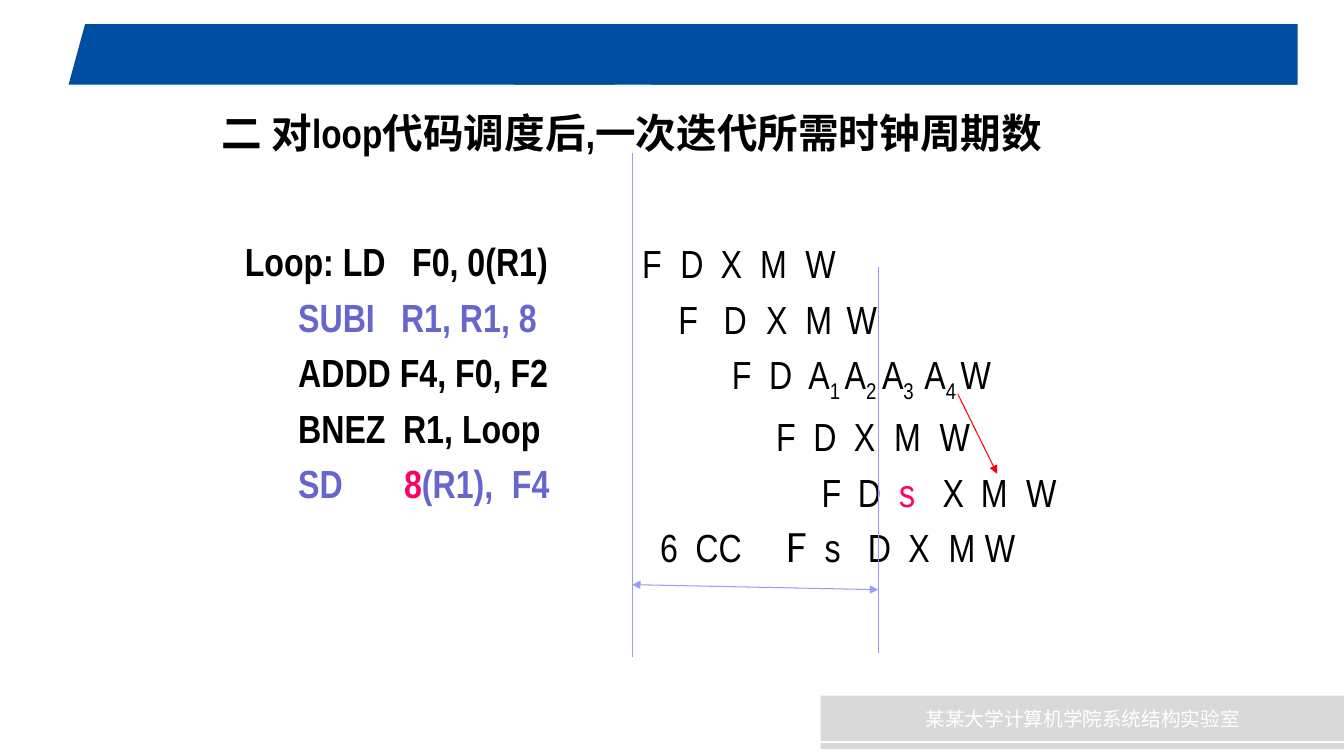
import pptx
import pptx.util
import pptx.dml.color
import pptx.enum.shapes
import pptx.enum.text
import pptx.oxml
import pptx.oxml.ns
from dataclasses import dataclass
from lxml import etree

Inches = pptx.util.Inches
Pt = pptx.util.Pt
SHAPE = pptx.enum.shapes.MSO_SHAPE
qn = pptx.oxml.ns.qn


@dataclass(frozen=True)
class Theme:
    blue: str = "004EA2"
    grey: str = "D9D9D9"
    white: str = "FFFFFF"
    ink: str = "000000"
    moved: str = "6666CC"
    stall: str = "FF0066"
    guide: str = "9999FF"
    hazard: str = "FF0000"
    title_size: int = 29
    body_size: int = 28
    footer_size: int = 14
    gap: float = 6
    line: float = 0.75
    sans: str = "Arial"
    narrow: str = "Arial Narrow"
    cjk: str = "Noto Sans CJK SC"


def rgb(color):
    return pptx.dml.color.RGBColor.from_string(color)


def add_run(p, text, *, size, font, color, bold=False, east=None, baseline=0):
    r = p.add_run()
    r.text = text
    r.font.size = Pt(size)
    r.font.bold = bold
    r.font.color.rgb = rgb(color)
    r.font.name = font
    rpr = r.font._element
    if east:
        etree.SubElement(rpr, qn("a:ea"), typeface=east)
    if baseline:
        rpr.set("baseline", str(baseline * 1000))


def set_tabs(p, stops):
    tabs = etree.SubElement(p._p.get_or_add_pPr(), qn("a:tabLst"))
    for stop in stops:
        etree.SubElement(tabs, qn("a:tab"), pos=str(Inches(stop)), algn="l")


class SlideBuilder:
    def __init__(self, prs, theme):
        self.theme = theme
        self.s = prs.slides.add_slide(prs.slide_layouts[6])

    def block(self, kind, x, y, w, h, fill):
        sp = self.s.shapes.add_shape(kind, Inches(x), Inches(y), Inches(w), Inches(h))
        sp.shadow.inherit = False
        sp.fill.solid()
        sp.fill.fore_color.rgb = rgb(fill)
        sp.line.fill.background()
        return sp

    def text(self, x, y, w, h):
        tf = self.s.shapes.add_textbox(Inches(x), Inches(y), Inches(w), Inches(h)).text_frame
        tf.word_wrap = True
        return tf

    def rows(self, x, y, w, h, rows, bold=False):
        """Each row is (tab stops, runs); a run is (text, format overrides)."""
        t = self.theme
        tf = self.text(x, y, w, h)
        for i, (stops, runs) in enumerate(rows):
            p = tf.add_paragraph() if i else tf.paragraphs[0]
            p.space_before = Pt(t.gap)
            set_tabs(p, stops)
            for text, style in runs:
                base = dict(size=t.body_size, font=t.narrow, color=t.ink, bold=bold)
                add_run(p, text, **{**base, **style})

    def line(self, x1, y1, x2, y2, color, head=False, tail=False):
        ln = self.s.shapes.add_connector(
            pptx.enum.shapes.MSO_CONNECTOR.STRAIGHT,
            Inches(x1), Inches(y1), Inches(x2), Inches(y2))
        ln.line.color.rgb = rgb(color)
        ln.line.width = Pt(self.theme.line)
        for tag, wanted in (("a:headEnd", head), ("a:tailEnd", tail)):
            if wanted:
                etree.SubElement(ln.line._get_or_add_ln(), qn(tag), type="triangle")
        etree.SubElement(ln._element.spPr, qn("a:effectLst"))


def add_frame(b):
    t = b.theme
    slant = b.block(SHAPE.TRAPEZOID, 0.68, 0.24, 5.42, 0.6, t.blue)
    slant.adjustments[0] = 0.273
    b.block(SHAPE.RECTANGLE, 5.1, 0.24, 7.77, 0.6, t.blue)
    b.block(SHAPE.RECTANGLE, 6.46, 0.79, 6.4, 0.05, t.blue)
    footer = b.block(SHAPE.RECTANGLE, 8.14, 6.9, 5.2, 0.45, t.grey)
    footer.text_frame.vertical_anchor = pptx.enum.text.MSO_ANCHOR.MIDDLE
    p = footer.text_frame.paragraphs[0]
    p.alignment = pptx.enum.text.PP_ALIGN.CENTER
    add_run(p, "某某大学计算机学院系统结构实验室", size=t.footer_size,
            font=t.cjk, east=t.cjk, color=t.white)
    b.block(SHAPE.RECTANGLE, 8.14, 7.37, 5.2, 0.06, t.grey)


def add_title(b):
    t = b.theme
    p = b.text(2.1, 1.02, 9.33, 0.83).paragraphs[0]
    for text, font in (("二 对", t.sans), ("loop代码调度后,", t.narrow),
                       ("一次迭代所需时钟周期数", t.sans)):
        add_run(p, text, size=t.title_size, font=font, east=t.cjk, color=t.ink, bold=True)


def add_code(b):
    moved, stall = {"color": b.theme.moved}, {"color": b.theme.stall}
    b.rows(2.33, 2.31, 3.47, 4.27, [
        ([1.66], [("Loop: LD\tF0, 0(R1)", {})]),
        ([0.53, 1.55], [("\tSUBI\tR1, R1, 8", moved)]),
        ([0.53], [("\tADDD F4, F0, F2", {})]),
        ([0.53, 1.57], [("\tBNEZ\tR1, Loop", {})]),
        ([0.53, 1.58, 2.65], [("\tSD\t", moved), ("8", stall), ("(R1),\tF4", moved)]),
    ], bold=True)


def add_pipeline(b):
    t = b.theme
    adder = [("\tF\tD", {})]
    for n in "1234":
        adder += [("\tA", {}), (n, {"baseline": -25})]
    adder.append(("\tW", {}))
    stages = [("\tF\tD\tX\tM\tW", {})]
    b.rows(6.27, 2.33, 5.04, 4.04, [
        ([0.38, 0.78, 1.17, 1.62], [("F\tD\tX\tM\tW", {})]),
        ([0.36, 0.81, 1.23, 1.62, 2.03], stages),
        ([0.89, 1.26, 1.65, 2.01, 2.38, 2.8, 3.16], adder),
        ([1.33, 1.7, 2.1, 2.5, 2.95], stages),
        ([1.78, 2.14, 2.55, 2.98, 3.36, 3.81],
         [("\tF\tD\t", {}), ("s", {"color": t.stall}), ("\tX\tM\tW", {})]),
        ([0.18, 0.53, 1.42, 1.81, 2.24, 2.64, 3.04, 3.4],
         [("\t6\tCC", {}), ("\tF", {"font": t.cjk}), ("\ts\tD\tX\tM\tW", {})]),
    ])


def add_lines(b):
    t = b.theme
    start, end = 6.27, 8.71
    b.line(end, 2.65, end, 6.48, t.guide)
    b.line(start, 1.52, start, 6.52, t.guide)
    b.line(start, 5.8, end, 5.85, t.guide, head=True, tail=True)
    b.line(9.5, 3.91, 9.89, 4.7, t.hazard, tail=True)


def main():
    prs = pptx.Presentation()
    prs.slide_width, prs.slide_height = Inches(13.33), Inches(7.5)
    b = SlideBuilder(prs, Theme())
    for add_part in (add_frame, add_title, add_code, add_pipeline, add_lines):
        add_part(b)
    prs.save("out.pptx")


if __name__ == "__main__":
    main()
